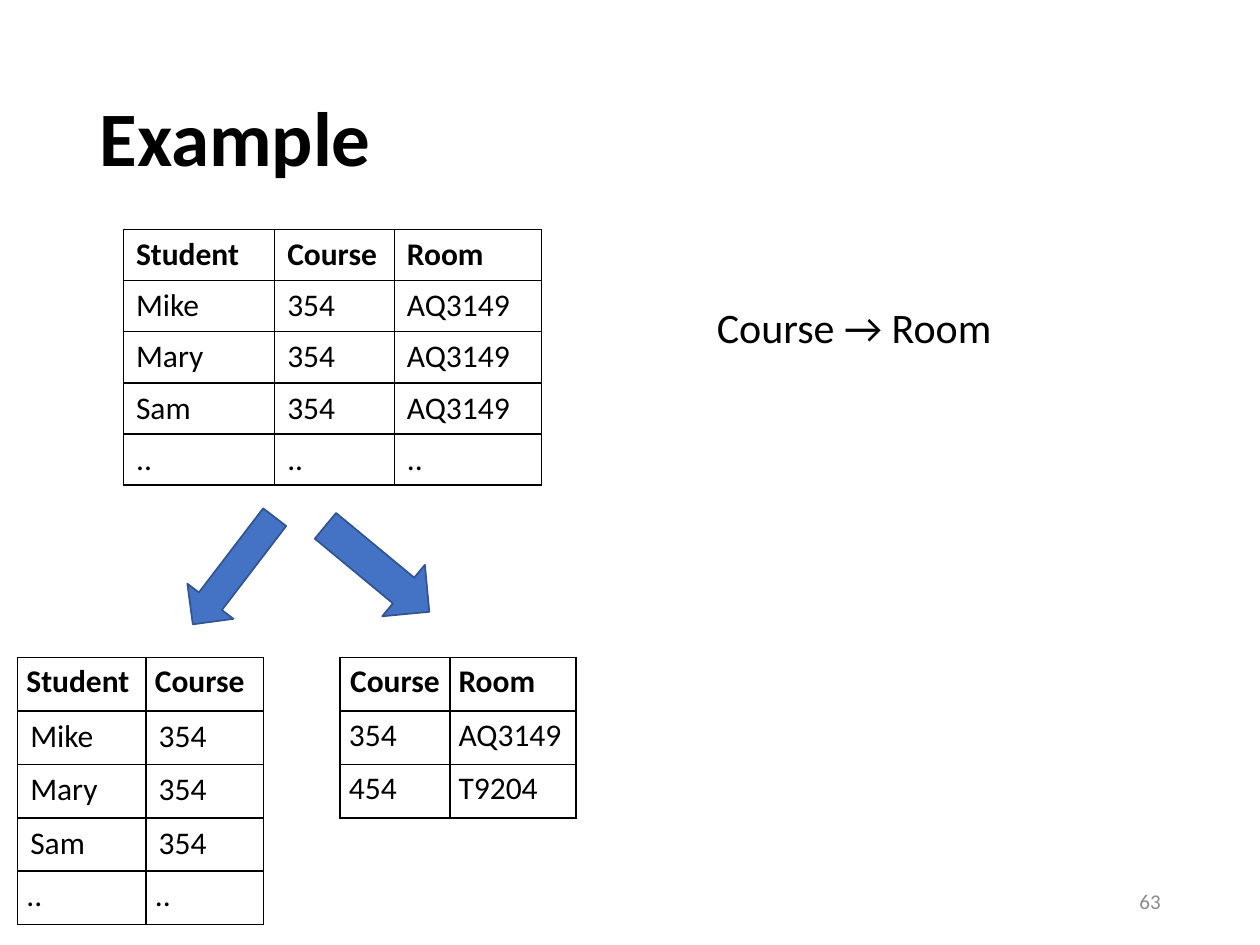
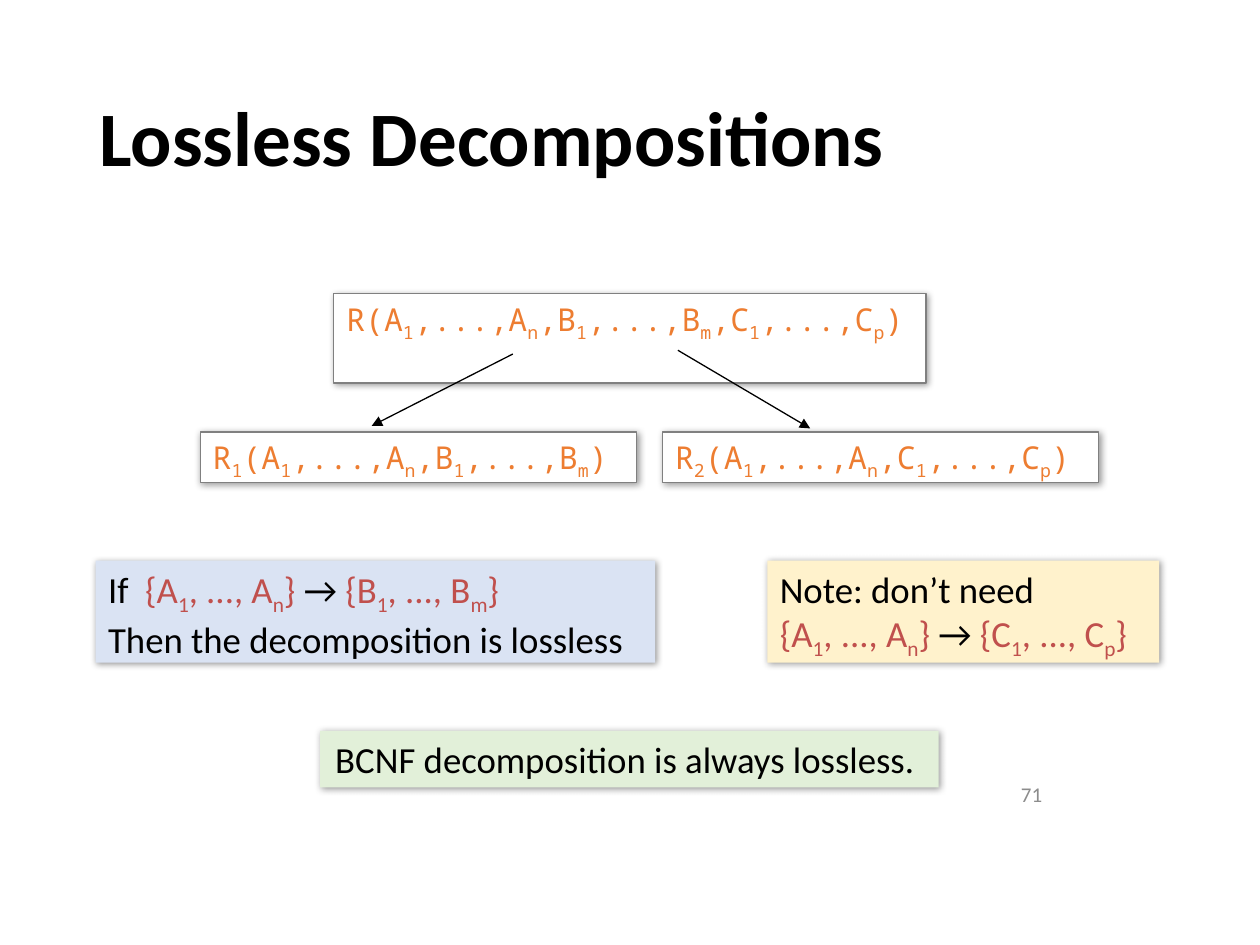
from lxml import etree
from pptx import Presentation
from pptx import util as u
from pptx.dml.color import RGBColor
from pptx.enum import shapes, text
from pptx.oxml import parse_xml
from pptx.oxml.ns import nsdecls, qn

COLORS = {
    "black": "000000", "white": "FFFFFF", "grey": "808080", "number": "8C8C8C",
    "arrow": "4472C4", "arrow_edge": "325491", "schema": "ED7D31", "set": "C0504D",
    "blue": "DAE3F3", "yellow": "FFF2CC", "green": "E2F0D9",
}
BODY, MONO = "Calibri", "Noto Sans Mono"
COLUMNS, ROWS = 10, 7.5          # square grid cells over the slide
CELL = u.Inches(1)
LOOSE, TIGHT = (0.1, 0.05), (0.07, 0.04)   # table cell margins: side, top


def grid(*cells):
    return [round(cell * CELL) for cell in cells]


def rgb(name):
    return RGBColor.from_string(COLORS[name])


# Text
def add_span(para, words, size, color="black", font=BODY, bold=False, sub=False, spacing=0):
    span = para.add_run()
    span.text = words
    span.font.size, span.font.name, span.font.bold = u.Pt(size), font, bold
    span.font.color.rgb = rgb(color)
    props = span._r.get_or_add_rPr()
    if sub:
        props.set("baseline", "-25000")
    if spacing:
        props.set("spc", str(round(spacing * 100)))


def add_formula(para, formula, size, color, font=BODY):
    """Write a formula in which the letter after each underscore is a subscript."""
    head, *tails = formula.split("_")
    add_span(para, head, size, color, font)
    for tail in tails:
        add_span(para, tail[0], size, color, font, sub=True)
        if tail[1:]:
            add_span(para, tail[1:], size, color, font)


def add_dependency(para, source, target, size=21):
    add_formula(para, source + " ", size, "set")
    add_span(para, "→ ", size)
    add_formula(para, target, size, "set")


def add_text(page, place, words, size, color="black", align=text.PP_ALIGN.LEFT,
             anchor=text.MSO_ANCHOR.TOP):
    frame = page.shapes.add_textbox(*grid(*place)).text_frame
    frame.word_wrap, frame.vertical_anchor = True, anchor
    para = frame.paragraphs[0]
    para.alignment = align
    add_span(para, words, size, color)


def add_page(deck, title, number, number_place):
    page = deck.slides.add_slide(deck.slide_layouts[5])
    box = page.shapes.title
    box.left, box.top, box.width, box.height = grid(0.69, 0.4, 8.62, 1.45)
    box.text_frame.vertical_anchor = text.MSO_ANCHOR.MIDDLE
    box.text_frame.auto_size = text.MSO_AUTO_SIZE.NONE
    para = box.text_frame.paragraphs[0]
    para.alignment, para.line_spacing = text.PP_ALIGN.LEFT, 0.9
    add_span(para, title, 44, bold=True)
    add_text(page, number_place, number, 12, "number",
             text.PP_ALIGN.RIGHT, text.MSO_ANCHOR.MIDDLE)
    return page


# Tables
def add_borders(cell):
    props = cell._tc.get_or_add_tcPr()
    for side in ("lnL", "lnR", "lnT", "lnB"):
        props.append(parse_xml(
            f'<a:{side} {nsdecls("a")} w="{u.Pt(1)}"><a:solidFill>'
            f'<a:srgbClr val="{COLORS["black"]}"/></a:solidFill></a:{side}>'))


def add_relation(page, left, top, widths, row_height, rows, tight_rows=(), centred=None):
    """Draw a relation with a bold header row; tight_rows have narrow margins."""
    place = grid(left, top, sum(widths), row_height * len(rows))
    table = page.shapes.add_table(len(rows), len(widths), *place).table
    table.first_row = table.horz_banding = False
    for column, width in zip(table.columns, grid(*widths)):
        column.width = width
    for r, values in enumerate(rows):
        table.rows[r].height = grid(row_height)[0]
        side, edge = grid(*(TIGHT if r in tight_rows else LOOSE))
        for c, value in enumerate(values):
            cell = table.cell(r, c)
            cell.margin_left = cell.margin_right = side
            cell.margin_top = cell.margin_bottom = edge
            add_borders(cell)
            cell.fill.background()
            para = cell.text_frame.paragraphs[0]
            if (r, c) == centred:
                para.alignment = text.PP_ALIGN.CENTER
            add_span(para, value, 18, bold=r == 0)


# Shapes and lines
def add_block_arrow(page, place, angle):
    arrow = page.shapes.add_shape(shapes.MSO_SHAPE.RIGHT_ARROW, *grid(*place))
    arrow.shadow.inherit = False
    arrow.rotation = angle
    arrow.fill.solid()
    arrow.fill.fore_color.rgb = rgb("arrow")
    arrow.line.color.rgb, arrow.line.width = rgb("arrow_edge"), u.Pt(1)


def add_card(page, place, fill, edge=None):
    """Draw a shadowed rectangle and return its text frame."""
    box = page.shapes.add_shape(shapes.MSO_SHAPE.RECTANGLE, *grid(*place))
    box.fill.solid()
    box.fill.fore_color.rgb = rgb(fill)
    if edge:
        box.line.color.rgb, box.line.width = rgb(edge), u.Pt(0.75)
    else:
        box.line.fill.background()
    box.shadow.inherit = False
    effects = box._element.spPr.find(qn("a:effectLst"))
    effects.append(parse_xml(
        f'<a:outerShdw {nsdecls("a")} blurRad="{u.Pt(4)}" dist="{u.Pt(1)}" dir="2700000" '
        f'algn="tl" rotWithShape="0"><a:srgbClr val="{COLORS["black"]}">'
        '<a:alpha val="40000"/></a:srgbClr></a:outerShdw>'))
    frame = box.text_frame
    frame.word_wrap, frame.vertical_anchor = True, text.MSO_ANCHOR.TOP
    frame.paragraphs[0].alignment = text.PP_ALIGN.LEFT
    return frame


def add_schema(page, place, formula):
    frame = add_card(page, place, "white", "grey")
    add_formula(frame.paragraphs[0], formula, 18, "schema", MONO)


def add_arrow(page, start, end):
    line = page.shapes.add_connector(shapes.MSO_CONNECTOR.STRAIGHT, *grid(*start, *end))
    line.line.color.rgb, line.line.width = rgb("black"), u.Pt(0.75)
    etree.SubElement(line.line._get_or_add_ln(), qn("a:tailEnd"), type="triangle")
    etree.SubElement(line._element.spPr, qn("a:effectLst"))


# Slides
def add_example(deck):
    page = add_page(deck, "Example", "63", (7.06, 6.95, 2.25, 0.4))
    enrolment = [("Student", "Course", "Room")]
    enrolment += [(name, "354", "AQ3149") for name in ("Mike", "Mary", "Sam")]
    enrolment.append(("..",) * 3)
    add_relation(page, 0.98, 1.82, (1.2, 0.95, 1.17), 2.03 / 5, enrolment)

    # Decomposed relations
    row_height = 2.12 / 5
    students = [row[:2] for row in enrolment]
    add_relation(page, 0.14, 5.22, (1.02, 0.93), row_height, students, tight_rows=(0, 4))
    rooms = [("Course", "Room"), ("354", "AQ3149"), ("454", "T9204")]
    add_relation(page, 2.7, 5.22, (0.87, 1), row_height, rooms,
                 tight_rows=range(3), centred=(0, 0))
    add_block_arrow(page, (1.32, 4.3, 1.07, 0.46), 127.4)
    add_block_arrow(page, (2.46, 4.25, 1.07, 0.53), 39.6)
    add_text(page, (5.59, 2.34, 2.42, 0.5), "Course → Room", 24)


def add_lossless(deck):
    page = add_page(deck, "Lossless Decompositions", "71", (6.62, 6.15, 1.75, 0.3))

    # Conclusion
    frame = add_card(page, (2.54, 5.8, 4.91, 0.45), "green")
    frame.vertical_anchor = text.MSO_ANCHOR.MIDDLE
    frame.margin_right = grid(0.17)[0]
    frame.paragraphs[0].alignment = text.PP_ALIGN.CENTER
    add_span(frame.paragraphs[0], "BCNF decomposition is always lossless.", 21)

    # Note and condition
    frame = add_card(page, (6.09, 4.45, 3.11, 0.81), "yellow")
    add_span(frame.paragraphs[0], "Note: don’t need", 21)
    para = frame.add_paragraph()
    para.alignment = text.PP_ALIGN.LEFT
    add_dependency(para, "{A_1, ..., A_n}", "{C_1, ..., C_p}")

    frame = add_card(page, (0.76, 4.45, 4.44, 0.81), "blue")
    add_span(frame.paragraphs[0], "If", 21)
    add_span(frame.paragraphs[0], " ", 21, spacing=4.75)
    add_dependency(frame.paragraphs[0], "{A_1, ..., A_n}", "{B_1, ..., B_m}")
    para = frame.add_paragraph()
    para.alignment = text.PP_ALIGN.LEFT
    add_span(para, "Then the decomposition is lossless", 21)

    # Schema tree
    add_schema(page, (2.65, 2.33, 4.7, 0.71), "R(A_1,...,A_n,B_1,...,B_m,C_1,...,C_p)")
    add_schema(page, (1.59, 3.43, 3.46, 0.4), "R_1(A_1,...,A_n,B_1,...,B_m)")
    add_schema(page, (5.26, 3.43, 3.46, 0.4), "R_2(A_1,...,A_n,C_1,...,C_p)")
    add_arrow(page, (4.07, 2.81), (2.95, 3.38))
    add_arrow(page, (5.38, 2.78), (6.43, 3.4))


def main():
    deck = Presentation()
    deck.slide_width, deck.slide_height = grid(COLUMNS, ROWS)
    add_example(deck)
    add_lossless(deck)
    deck.save("out.pptx")


if __name__ == "__main__":
    main()
